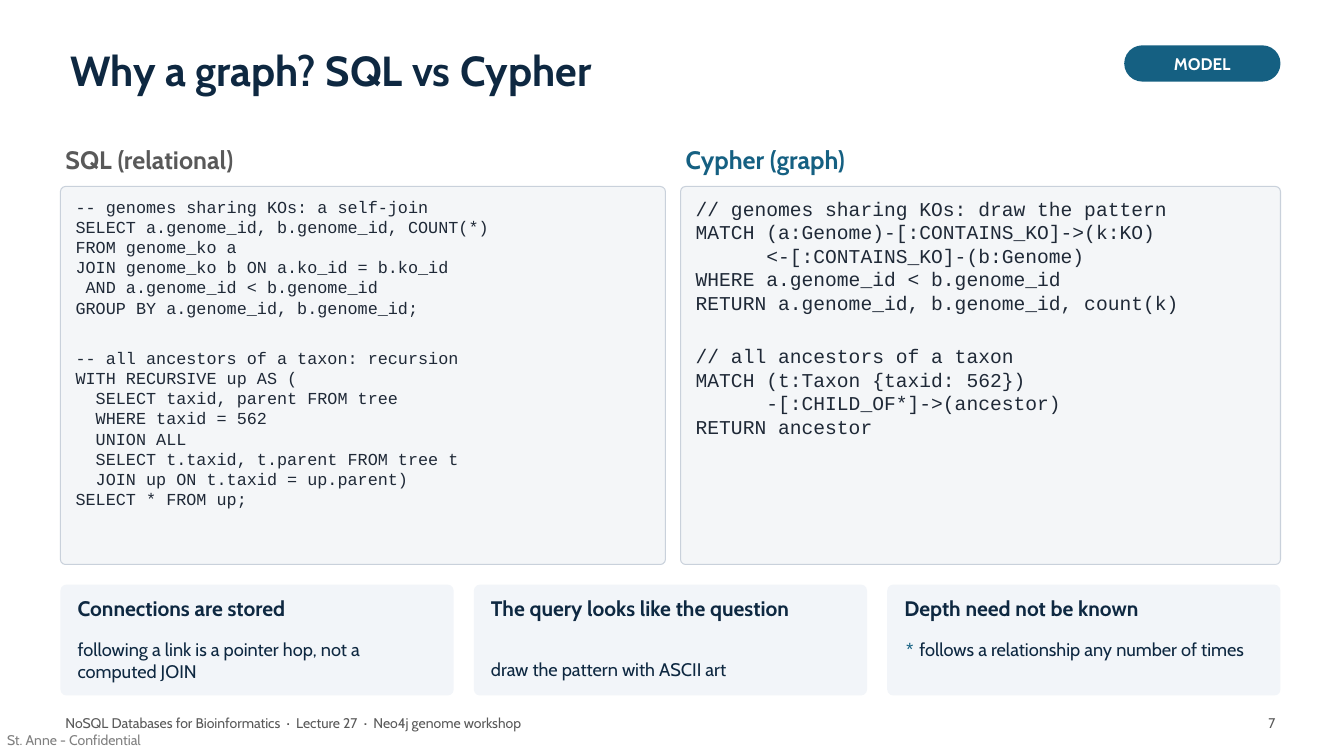
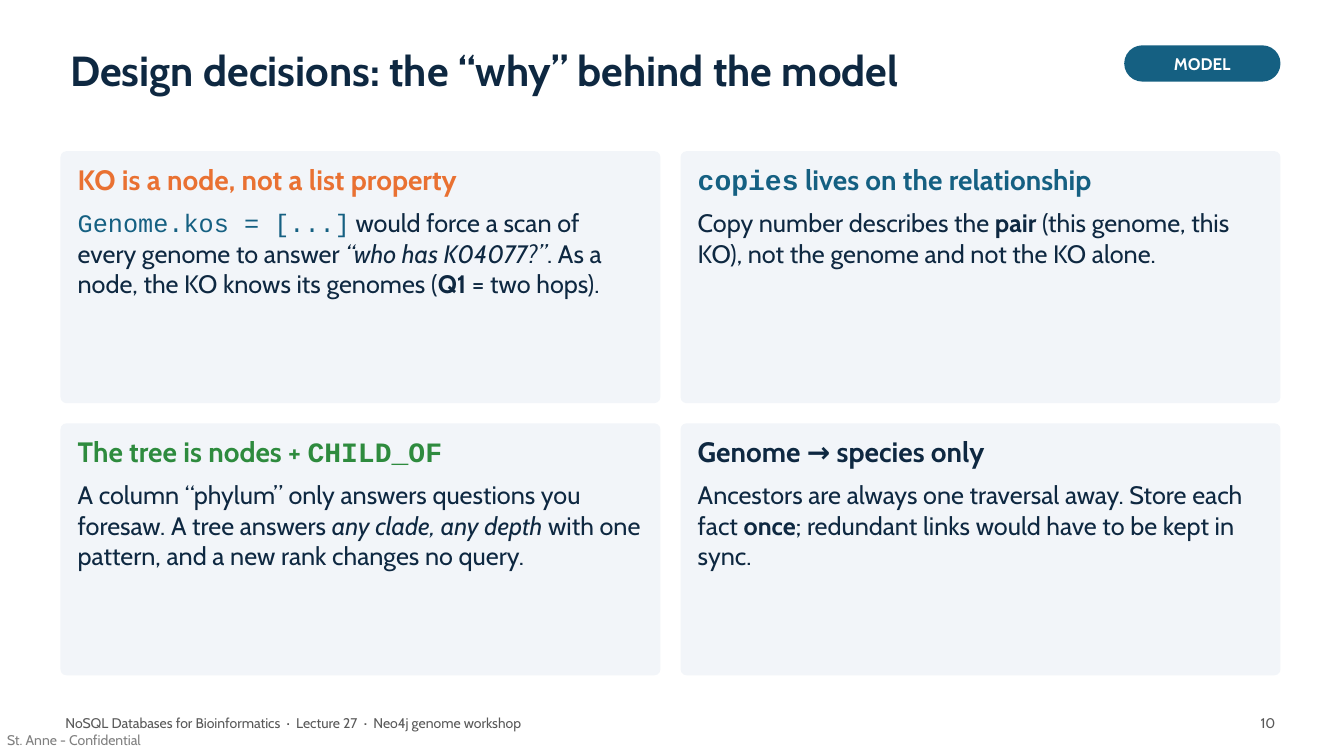
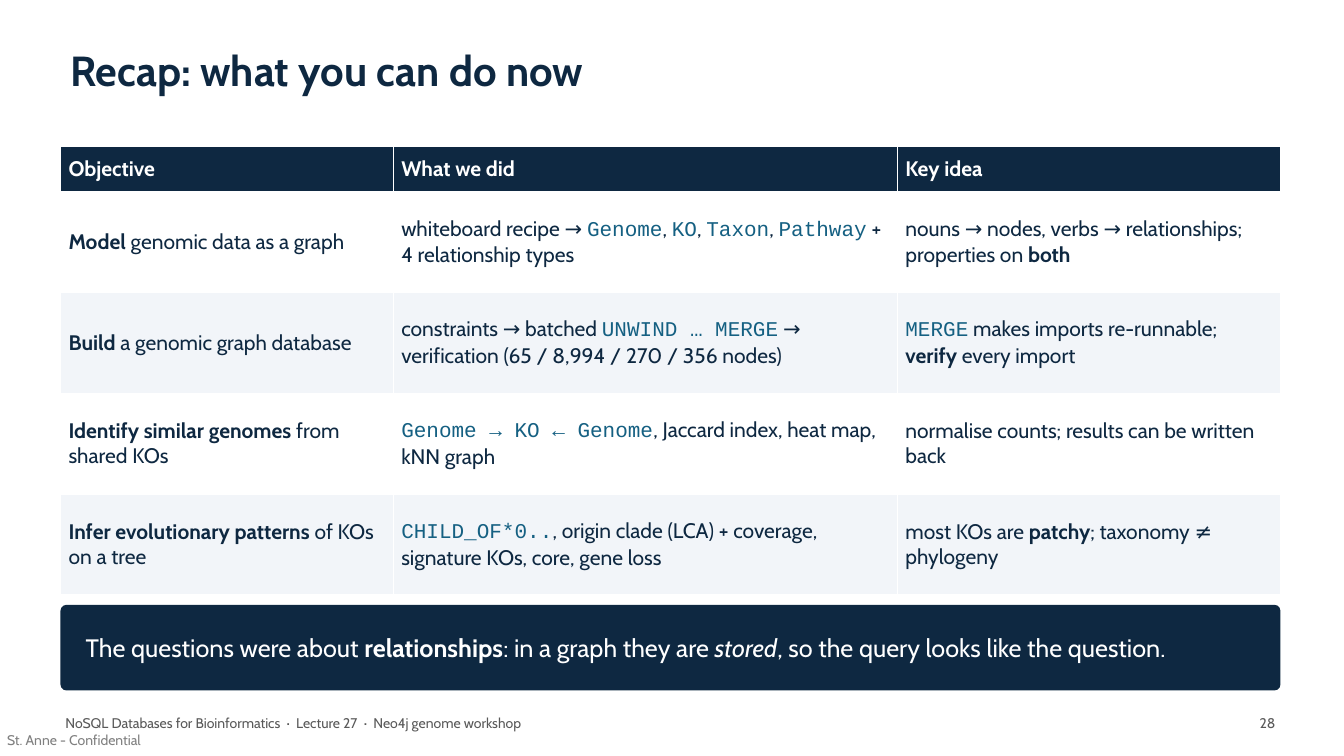
"""Build three lecture slides about modelling genomes as a graph."""
from lxml import etree
from pptx import Presentation
from pptx.dml.color import RGBColor
from pptx.enum.shapes import MSO_SHAPE
from pptx.enum.text import MSO_ANCHOR, PP_ALIGN
from pptx.oxml.ns import qn
from pptx.util import Pt

ROUND = MSO_SHAPE.ROUNDED_RECTANGLE
TOP, MIDDLE = MSO_ANCHOR.TOP, MSO_ANCHOR.MIDDLE
LEFT, CENTER, RIGHT = PP_ALIGN.LEFT, PP_ALIGN.CENTER, PP_ALIGN.RIGHT

SCALE = 9144
EDGE, WIDE = 60, 1210
SANS, MONO = "Cabin", "Courier New"
NAVY, TEAL, ORANGE, GREEN = "0E2841", "156082", "E97132", "2E8B3E"
WHITE, PALE, GRAY, FAINT = "FFFFFF", "F2F5F9", "595959", "808080"
PANEL, RIM, INK = "F4F6F8", "C9D1DB", "1F2937"
CODE, BOLD, SLANT = "`", "^", "~"
FOOTER = "NoSQL Databases for Bioinformatics  ·  Lecture 27  ·  Neo4j genome workshop"

SQL = """-- genomes sharing KOs: a self-join
SELECT a.genome_id, b.genome_id, COUNT(*)
FROM genome_ko a
JOIN genome_ko b ON a.ko_id = b.ko_id
 AND a.genome_id < b.genome_id
GROUP BY a.genome_id, b.genome_id;

-- all ancestors of a taxon: recursion
WITH RECURSIVE up AS (
  SELECT taxid, parent FROM tree
  WHERE taxid = 562
  UNION ALL
  SELECT t.taxid, t.parent FROM tree t
  JOIN up ON t.taxid = up.parent)
SELECT * FROM up;"""

CYPHER = """// genomes sharing KOs: draw the pattern
MATCH (a:Genome)-[:CONTAINS_KO]->(k:KO)
      <-[:CONTAINS_KO]-(b:Genome)
WHERE a.genome_id < b.genome_id
RETURN a.genome_id, b.genome_id, count(k)

// all ancestors of a taxon
MATCH (t:Taxon {taxid: 562})
      -[:CHILD_OF*]->(ancestor)
RETURN ancestor"""

POINTS = [
    ("Connections are stored",
     "following a link is a pointer hop, not a computed JOIN", 50),
    ("The query looks like the question",
     "draw the pattern with ASCII art", 70),
    ("Depth need not be known",
     "`*| follows a relationship any number of times", 50),
]

CHOICES = [
    ("KO is a node, not a list property", ORANGE,
     "`Genome.kos = [...]| would force a scan of every genome to answer "
     "|~“who has K04077?”|. As a node, the KO knows its genomes (|^Q1| = two hops)."),
    ("`copies| lives on the relationship", TEAL,
     "Copy number describes the |^pair| (this genome, this KO), "
     "not the genome and not the KO alone."),
    ("The tree is nodes + |`CHILD_OF", GREEN,
     "A column “phylum” only answers questions you foresaw. A tree answers "
     "|~any clade, any depth| with one pattern, and a new rank changes no query."),
    ("Genome → species only", NAVY,
     "Ancestors are always one traversal away. Store each fact |^once|; "
     "redundant links would have to be kept in sync."),
]

RECAP = [
    ("Objective", "What we did", "Key idea"),
    ("^Model| genomic data as a graph",
     "whiteboard recipe → |`Genome|, |`KO|, |`Taxon|, |`Pathway| + 4 relationship types",
     "nouns → nodes, verbs → relationships; properties on |^both"),
    ("^Build| a genomic graph database",
     "constraints → batched |`UNWIND … MERGE| → verification "
     "(65 / 8,994 / 270 / 356 nodes)",
     "`MERGE| makes imports re-runnable; |^verify| every import"),
    ("^Identify similar genomes| from shared KOs",
     "`Genome → KO ← Genome|, Jaccard index, heat map, kNN graph",
     "normalise counts; results can be written back"),
    ("^Infer evolutionary patterns| of KOs on a tree",
     "`CHILD_OF*0..|, origin clade (LCA) + coverage, signature KOs, core, gene loss",
     "most KOs are |^patchy|; taxonomy ≠ phylogeny"),
]


def px(*sizes):
    """Turn px lengths into EMU."""
    return [size * SCALE for size in sizes]


def tint(code):
    """Turn a hex string into a colour."""
    return RGBColor.from_string(code)


class Deck:
    """Hold the style and the current slide."""

    def __init__(self):
        """Start an empty wide deck."""
        self.show = Presentation()
        self.show.slide_width, self.show.slide_height = px(1333, 750)
        self.slide = None

    def page(self, title, number, tag=""):
        """Add a slide with its title, footer and optional tag."""
        self.slide = self.show.slides.add_slide(self.show.slide_layouts[6])
        self.text(7, 726, 300, 17, "St. Anne - Confidential", 10, FAINT, ins=(0, 0))
        frame = self.text(EDGE, 30, 1040 if tag else WIDE, 85, title, 30, NAVY,
                          bold=True, anchor=MIDDLE, ins=(10, 5))
        frame.paragraphs[0].line_spacing = 0.9
        self.text(EDGE, 706, 950, 30, FOOTER, 10, GRAY)
        self.text(1170, 706, 100, 30, str(number), 10, GRAY, align=RIGHT)
        if tag:
            pill = self.block(1115, 45, 155, 36, TEAL, 18)
            self.fit(pill.text_frame, MIDDLE, (6, 3))
            self.put(pill.text_frame.paragraphs[0], tag, 12, WHITE, True, CENTER)

    def fit(self, frame, anchor, ins):
        """Set wrap, anchor and margins of a text frame."""
        frame.word_wrap = True
        frame.vertical_anchor = anchor
        frame.margin_left, frame.margin_top = px(*ins)
        frame.margin_right, frame.margin_bottom = px(*ins)

    def put(self, para, text, size, color, bold=False, align=LEFT, font=SANS):
        """Fill a paragraph with runs split at bars and styled by marks."""
        para.alignment = align
        for piece in text.split("|"):
            mark = piece[0] if piece[0] in (CODE, BOLD, SLANT) else ""
            run = para.add_run()
            run.text = piece[len(mark):]
            face = run.font
            face.size = Pt(size)
            face.name = MONO if mark == CODE else font
            face.bold = bold or mark == BOLD
            face.italic = mark == SLANT
            face.color.rgb = tint(TEAL if mark == CODE and not bold else color)

    def text(self, x, y, w, h, text, size, color, bold=False, align=LEFT,
             anchor=TOP, ins=(5, 3)):
        """Add a text box of one paragraph."""
        frame = self.slide.shapes.add_textbox(*px(x, y, w, h)).text_frame
        self.fit(frame, anchor, ins)
        self.put(frame.paragraphs[0], text, size, color, bold, align)
        return frame

    def block(self, x, y, w, h, fill, curve=6, rim=""):
        """Add a rounded block with a corner radius in px."""
        shape = self.slide.shapes.add_shape(ROUND, *px(x, y, w, h))
        shape.adjustments[0] = curve / min(w, h)
        shape.shadow.inherit = False
        shape.fill.solid()
        shape.fill.fore_color.rgb = tint(fill)
        if rim:
            shape.line.color.rgb = tint(rim)
            shape.line.width = Pt(0.75)
        else:
            shape.line.fill.background()
        return shape

    def card(self, x, y, w, h, head, color, body, sizes, drop):
        """Add a pale card with a heading and a body."""
        self.block(x, y, w, h, PALE)
        self.text(x + 12, y + 8, w - 24, 45, head, sizes[0], color, bold=True)
        self.text(x + 12, y + drop, w - 24, h - drop - 10, body, sizes[1], NAVY)

    def code(self, x, w, head, color, source, size):
        """Add a headed panel of code with a gap between stanzas."""
        self.text(x, 140, 600, 40, head, 18, color, bold=True)
        self.block(x, 185, w, 375, PANEL, 5, RIM)
        frame = self.slide.shapes.add_textbox(*px(x + 10, 192, w - 20, 361)).text_frame
        self.fit(frame, TOP, (5, 3))
        para = frame.paragraphs[0]
        for part, stanza in enumerate(source.split("\n\n")):
            for row, line in enumerate(stanza.split("\n")):
                if part or row:
                    para = frame.add_paragraph()
                if part and not row:
                    para.space_before = Pt(21.5)
                self.put(para, line, size, INK, font=MONO)

    def cell(self, cell, text, fill, color, bold):
        """Fill one table cell and give it white borders."""
        props = cell._tc.get_or_add_tcPr()
        for side in ("lnL", "lnR", "lnT", "lnB"):
            line = etree.SubElement(props, qn("a:" + side), w=str(Pt(1)))
            solid = etree.SubElement(line, qn("a:solidFill"))
            etree.SubElement(solid, qn("a:srgbClr"), val=WHITE)
        cell.fill.solid()
        cell.fill.fore_color.rgb = tint(fill)
        cell.vertical_anchor = MIDDLE
        cell.margin_left, cell.margin_top = px(8, 4)
        cell.margin_right, cell.margin_bottom = px(8, 4)
        self.put(cell.text_frame.paragraphs[0], text, 15, color, bold)

    def table(self, x, y, cols, rows, data):
        """Add a table with a dark head and striped rows."""
        table = self.slide.shapes.add_table(
            len(rows), len(cols), *px(x, y, sum(cols), sum(rows))).table
        for col, wide in zip(table.columns, px(*cols)):
            col.width = wide
        for row, high in zip(table.rows, px(*rows)):
            row.height = high
        for i, texts in enumerate(data):
            fill = (PALE if i % 2 == 0 else WHITE) if i else NAVY
            for j, text in enumerate(texts):
                self.cell(table.cell(i, j), text, fill, NAVY if i else WHITE, i == 0)


def main():
    """Draw the slides and save them."""
    deck = Deck()

    deck.page("Why a graph? SQL vs Cypher", 7, "MODEL")
    deck.code(EDGE, 600, "SQL (relational)", GRAY, SQL, 12)
    deck.code(675, 595, "Cypher (graph)", TEAL, CYPHER, 14)
    for i, (head, body, drop) in enumerate(POINTS):
        deck.card(EDGE + i * 410, 580, 390, 110, head, NAVY, body, (15, 13), drop)

    deck.page("Design decisions: the “why” behind the model", 10, "MODEL")
    for i, (head, color, body) in enumerate(CHOICES):
        row, col = divmod(i, 2)
        deck.card(EDGE + col * 615, 150 + row * 270, 595, 250,
                  head, color, body, (20, 18), 53)

    deck.page("Recap: what you can do now", 28)
    deck.table(EDGE, 145, [330, 500, 380], [45] + [100] * 4, RECAP)
    deck.block(EDGE, 600, WIDE, 85, NAVY)
    close = deck.text(80, 605, 1170, 75,
                      "The questions were about |^relationships|: in a graph they are "
                      "|~stored|, so the query looks like the question.",
                      18, WHITE, anchor=MIDDLE)
    close.paragraphs[0].space_after = Pt(6)

    deck.show.save("out.pptx")


if __name__ == "__main__":
    main()
